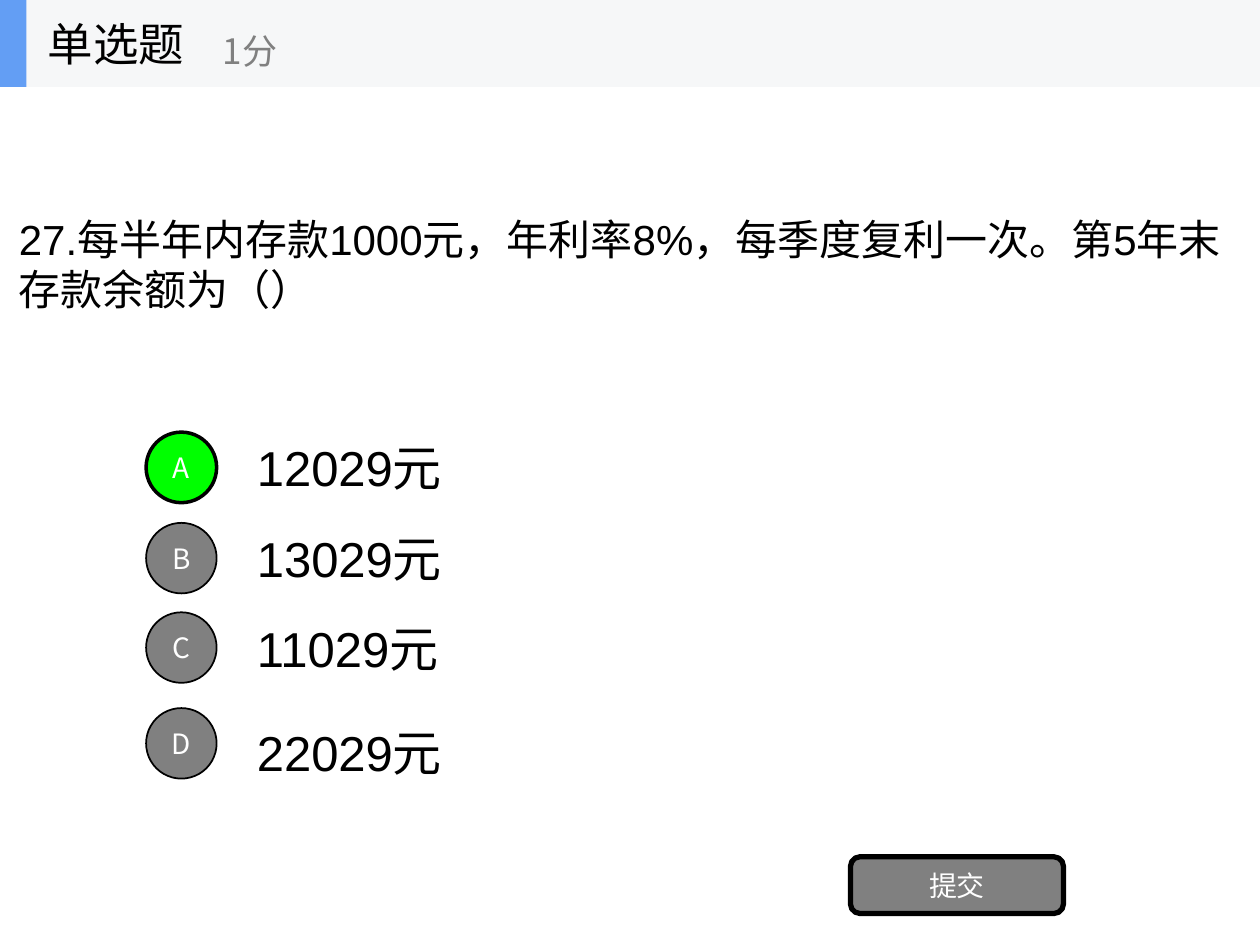
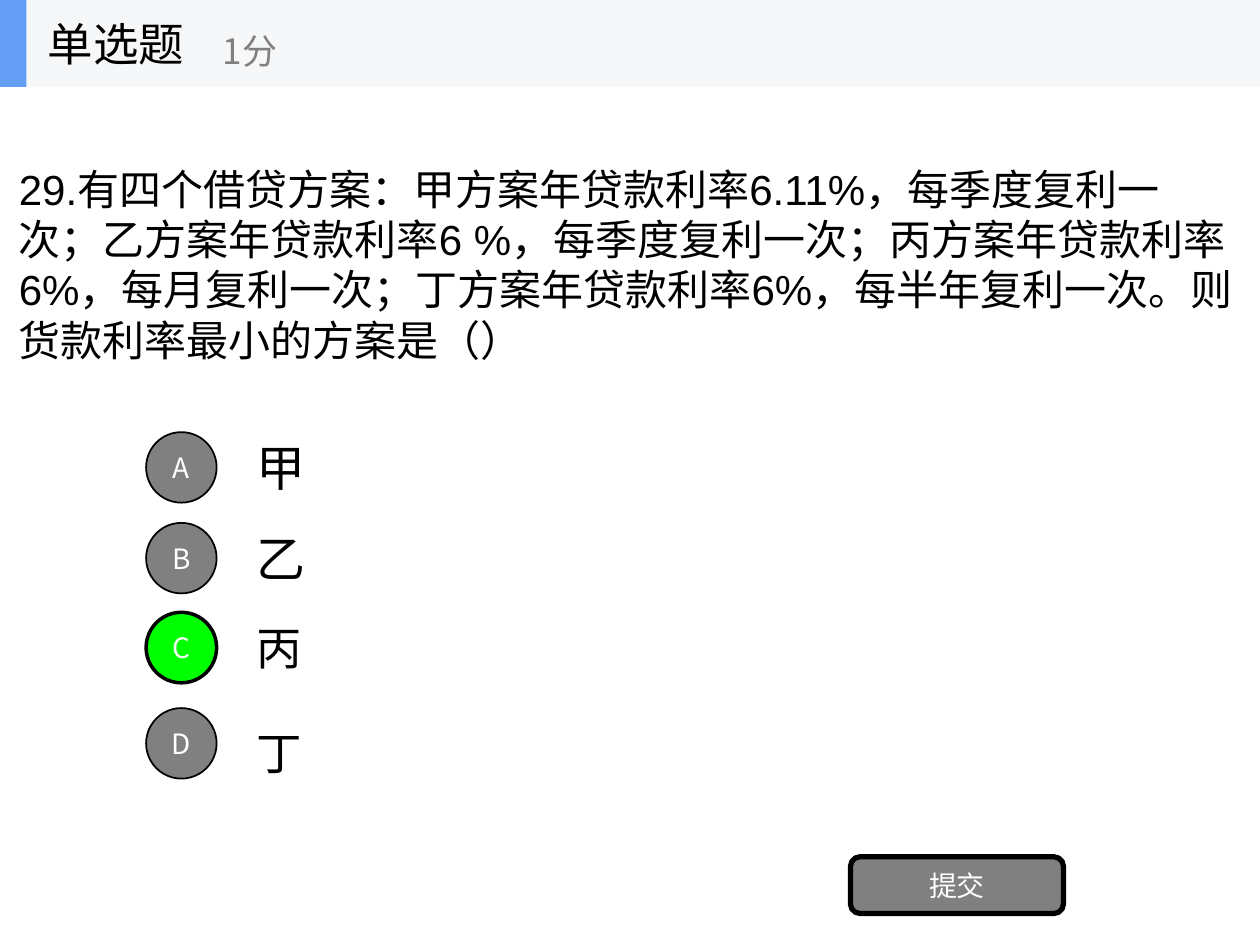
"""Builds two single-choice quiz slides on compound interest."""
from lxml.etree import SubElement
from pptx import Presentation
from pptx.dml.color import RGBColor
from pptx.enum.lang import MSO_LANGUAGE_ID as LANGUAGE
from pptx.enum.shapes import MSO_SHAPE as SHAPE
from pptx.enum.text import MSO_ANCHOR as ANCHOR, MSO_AUTO_SIZE as AUTO_SIZE, PP_ALIGN as ALIGN
from pptx.oxml.ns import qn
from pptx.util import Inches, Pt

SANS = "Noto Sans CJK SC"
LATIN = "Arial"
BLACK, WHITE, GREY, GREEN = "000000", "FFFFFF", "808080", "00FF00"
BAND, ACCENT = "F6F7F8", "639EF4"

LETTERS = "ABCD"
BADGE_TOPS = [3.43, 4.15, 4.86, 5.62]
ANSWER_TOPS = [3.36, 4.08, 4.79, 5.62]

QUESTIONS = [
    (
        "27.每半年内存款1000元，年利率8%，每季度复利一次。第5年末存款余额为（）",
        [("12029元", LATIN, 28), ("13029元", LATIN, 28),
         ("11029元", LATIN, 28), ("22029元", LATIN, 28)],
        "A",
    ),
    (
        "29.有四个借贷方案：甲方案年贷款利率6.11%，每季度复利一次；"
        "乙方案年贷款利率6 %，每季度复利一次；丙方案年贷款利率6%，每月复利一次；"
        "丁方案年贷款利率6%，每半年复利一次。则货款利率最小的方案是（）",
        [("甲", LATIN, 28), ("乙", LATIN, 28), ("丙", SANS, 26), ("丁", SANS, 26)],
        "C",
    ),
]


def write(shape, words, size, color=BLACK, font=SANS, align=ALIGN.LEFT):
    frame = shape.text_frame
    frame.word_wrap = True
    frame.auto_size = AUTO_SIZE.NONE
    frame.vertical_anchor = ANCHOR.MIDDLE
    paragraph = frame.paragraphs[0]
    paragraph.alignment = align
    paragraph._p.get_or_add_pPr().set("hangingPunct", "0")
    run = paragraph.add_run()
    run.text = words
    run.font.size = Pt(size)
    run.font.name = font
    run.font.language_id = LANGUAGE.SIMPLIFIED_CHINESE
    run.font.color.rgb = RGBColor.from_string(color)
    SubElement(run.font._element, qn("a:ea"), typeface=SANS)


def draw(shapes, kind, box, fill, line_width=0):
    shape = shapes.add_shape(kind, *map(Inches, box))
    shape.shadow.inherit = False
    shape.fill.solid()
    shape.fill.fore_color.rgb = RGBColor.from_string(fill)
    if line_width:
        shape.line.color.rgb = RGBColor.from_string(BLACK)
        shape.line.width = Pt(line_width)
    else:
        shape.line.fill.background()
    return shape


prs = Presentation()
prs.slide_width, prs.slide_height = Inches(10), Inches(7.5)
title_only = prs.slide_layouts[5]

for question, answers, correct in QUESTIONS:
    slide = prs.slides.add_slide(title_only)

    title = slide.shapes.title
    title.left, title.top = Inches(0.05), Inches(1.22)
    title.width, title.height = Inches(9.86), Inches(1.75)
    write(title, question, 24, font=LATIN)

    for (words, font, size), top in zip(answers, ANSWER_TOPS):
        answer = slide.shapes.add_textbox(Inches(1.94), Inches(top), Inches(7), Inches(0.7))
        write(answer, words, size, font=font)

    for letter, top in zip(LETTERS, BADGE_TOPS):
        fill, line_width = (GREEN, 2) if letter == correct else (GREY, 1)
        badge = draw(slide.shapes, SHAPE.OVAL, (1.16, top, 0.56, 0.56), fill, line_width)
        write(badge, letter, 16, WHITE, align=ALIGN.CENTER)

    submit = draw(slide.shapes, SHAPE.ROUNDED_RECTANGLE, (6.75, 6.8, 1.69, 0.45), GREY, 3)
    write(submit, "提交", 16, WHITE, align=ALIGN.CENTER)

    header = slide.shapes.add_group_shape().shapes
    draw(header, SHAPE.RECTANGLE, (0, 0, 10, 0.69), BAND)
    draw(header, SHAPE.RECTANGLE, (0, 0, 0.21, 0.69), ACCENT)
    question_type = header.add_textbox(Inches(0.28), 0, Inches(2.08), Inches(0.69))
    write(question_type, "单选题", 26)
    score = header.add_textbox(Inches(1.67), Inches(0.12), Inches(2.5), Inches(0.56))
    write(score, "1分", 20, GREY)

prs.save("out.pptx")
